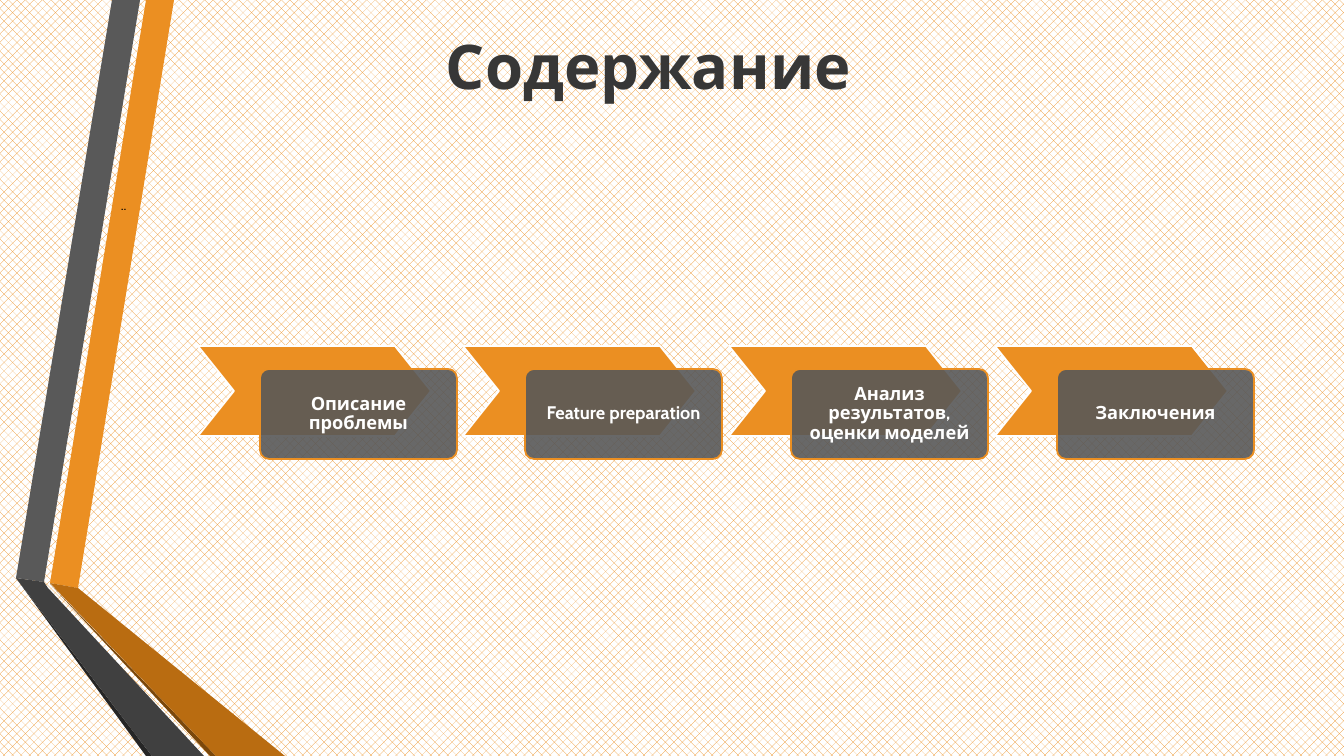
from dataclasses import dataclass

from lxml import etree
from pptx import Presentation
from pptx.dml.color import RGBColor
from pptx.enum.dml import MSO_PATTERN
from pptx.enum.shapes import MSO_SHAPE
from pptx.enum.text import MSO_ANCHOR, MSO_AUTO_SIZE, PP_ALIGN
from pptx.oxml.ns import qn
from pptx.shapes.autoshape import Shape
from pptx.slide import Slide
from pptx.text.text import TextFrame
from pptx.util import Emu, Pt

EMU_PER_PX = 914400 / 100.8
TITLE_ONLY = 5
PATTERN_40 = MSO_PATTERN.from_xml("pct40")
CHEVRON, ROUNDED = MSO_SHAPE.CHEVRON, MSO_SHAPE.ROUNDED_RECTANGLE
TOP, MIDDLE = MSO_ANCHOR.TOP, MSO_ANCHOR.MIDDLE
LEFT, CENTER = PP_ALIGN.LEFT, PP_ALIGN.CENTER
FIXED_SIZE = MSO_AUTO_SIZE.NONE


@dataclass(frozen=True)
class Theme:
    font: str = "Cabin"
    accent: str = "EB8F22"
    accent_dark: str = "B96C11"
    accent_shade: str = "7B480B"
    gray: str = "595959"
    gray_dark: str = "404040"
    gray_shade: str = "262626"
    label_box: str = "585858"
    title: str = "373737"
    white: str = "FFFFFF"
    black: str = "000000"
    title_size: float = 44
    label_size: float = 13
    note_size: float = 10
    outline: float = 1.25


@dataclass(frozen=True)
class Box:
    left: int
    top: int
    width: int
    height: int

    def emu(self) -> tuple[Emu, Emu, Emu, Emu]:
        return px(self.left), px(self.top), px(self.width), px(self.height)


@dataclass(frozen=True)
class Ribbon:
    color: str
    points: tuple[tuple[int, int], ...]


THEME = Theme()
RIBBONS = (
    Ribbon(THEME.accent, ((50, 583), (78, 588), (174, 0), (146, 0))),
    Ribbon(THEME.gray, ((140, 0), (112, 0), (16, 578), (44, 582))),
    Ribbon(THEME.gray_shade, ((16, 578), (146, 756), (152, 756))),
    Ribbon(THEME.accent_shade, ((50, 584), (210, 756), (216, 756))),
    Ribbon(THEME.accent_dark, ((50, 583), (216, 756), (285, 756), (78, 588))),
    Ribbon(THEME.gray_dark, ((16, 578), (152, 756), (204, 756), (48, 588), (44, 582))),
)
STEPS = (
    "Описание проблемы",
    "Feature preparation",
    "Анализ результатов, оценки моделей",
    "Заключения",
)
FIRST_LEFT, LAST_LEFT, STEP_TOP = 198, 995, 346
LABEL_SHIFT_X, LABEL_SHIFT_Y = 62, 23


def px(value: int) -> Emu:
    return Emu(round(value * EMU_PER_PX))


def rgb(color: str) -> RGBColor:
    return RGBColor.from_string(color)


def write(frame: TextFrame, text: str, *, size: float, color: str, bold: bool = False,
          align: PP_ALIGN = CENTER, anchor: MSO_ANCHOR = MIDDLE, spacing: float = 0.9) -> None:
    frame.word_wrap = True
    frame.auto_size = FIXED_SIZE
    frame.vertical_anchor = anchor
    para = frame.paragraphs[0]
    para.alignment = align
    para.line_spacing = spacing
    span = para.add_run()
    span.text = text
    span.font.name = THEME.font
    span.font.size = Pt(size)
    span.font.bold = bold
    span.font.color.rgb = rgb(color)


def paint(shape: Shape, fill: str, line: str | None = None, opacity: int = 100) -> None:
    """Fill and outline a shape; opacity is a percentage."""
    shape.shadow.inherit = False
    shape.fill.solid()
    shape.fill.fore_color.rgb = rgb(fill)
    if opacity < 100:
        color = shape.element.spPr.find(qn("a:solidFill")).find(qn("a:srgbClr"))
        etree.SubElement(color, qn("a:alpha")).set("val", str(opacity * 1000))
    if line:
        shape.line.color.rgb = rgb(line)
        shape.line.width = Pt(THEME.outline)
    else:
        shape.line.fill.background()


def add_ribbon(page: Slide, ribbon: Ribbon) -> None:
    start, *others = ribbon.points
    builder = page.shapes.build_freeform(*start, scale=EMU_PER_PX)
    builder.add_line_segments(others, close=True)
    paint(builder.convert_to_shape(), ribbon.color)


def add_step(page: Slide, left: int, text: str) -> None:
    """Draw a chevron with its label box in front."""
    chevron = page.shapes.add_shape(CHEVRON, *Box(left, STEP_TOP, 233, 90).emu())
    chevron.adjustments[0] = 0.4
    paint(chevron, THEME.accent, THEME.white)

    label_box = Box(left + LABEL_SHIFT_X, STEP_TOP + LABEL_SHIFT_Y, 197, 90)
    label = page.shapes.add_shape(ROUNDED, *label_box.emu())
    label.adjustments[0] = 0.1
    paint(label, THEME.label_box, THEME.accent, opacity=90)
    frame = label.text_frame
    frame.margin_left = frame.margin_right = px(10)
    frame.margin_top = frame.margin_bottom = px(10)
    write(frame, text, size=THEME.label_size, color=THEME.white, bold=True)


def main() -> None:
    deck = Presentation()
    deck.slide_width, deck.slide_height = px(1344), px(756)
    page = deck.slides.add_slide(deck.slide_layouts[TITLE_ONLY])

    backdrop = page.background.fill
    backdrop.patterned()
    backdrop.pattern = PATTERN_40
    backdrop.fore_color.rgb = rgb(THEME.accent)
    backdrop.back_color.rgb = rgb(THEME.white)

    for ribbon in RIBBONS:
        add_ribbon(page, ribbon)

    title = page.shapes.title
    title.left, title.top, title.width, title.height = Box(69, 5, 1159, 130).emu()
    write(title.text_frame, "Содержание", size=THEME.title_size, color=THEME.title, bold=True)

    note = page.shapes.add_textbox(*Box(111, 183, 1155, 77).emu())
    write(note.text_frame, "..", size=THEME.note_size, color=THEME.black,
          align=LEFT, anchor=TOP, spacing=1.5)

    for index, text in enumerate(STEPS):
        offset = (LAST_LEFT - FIRST_LEFT) * index // (len(STEPS) - 1)
        add_step(page, FIRST_LEFT + offset, text)

    deck.save("out.pptx")


if __name__ == "__main__":
    main()
